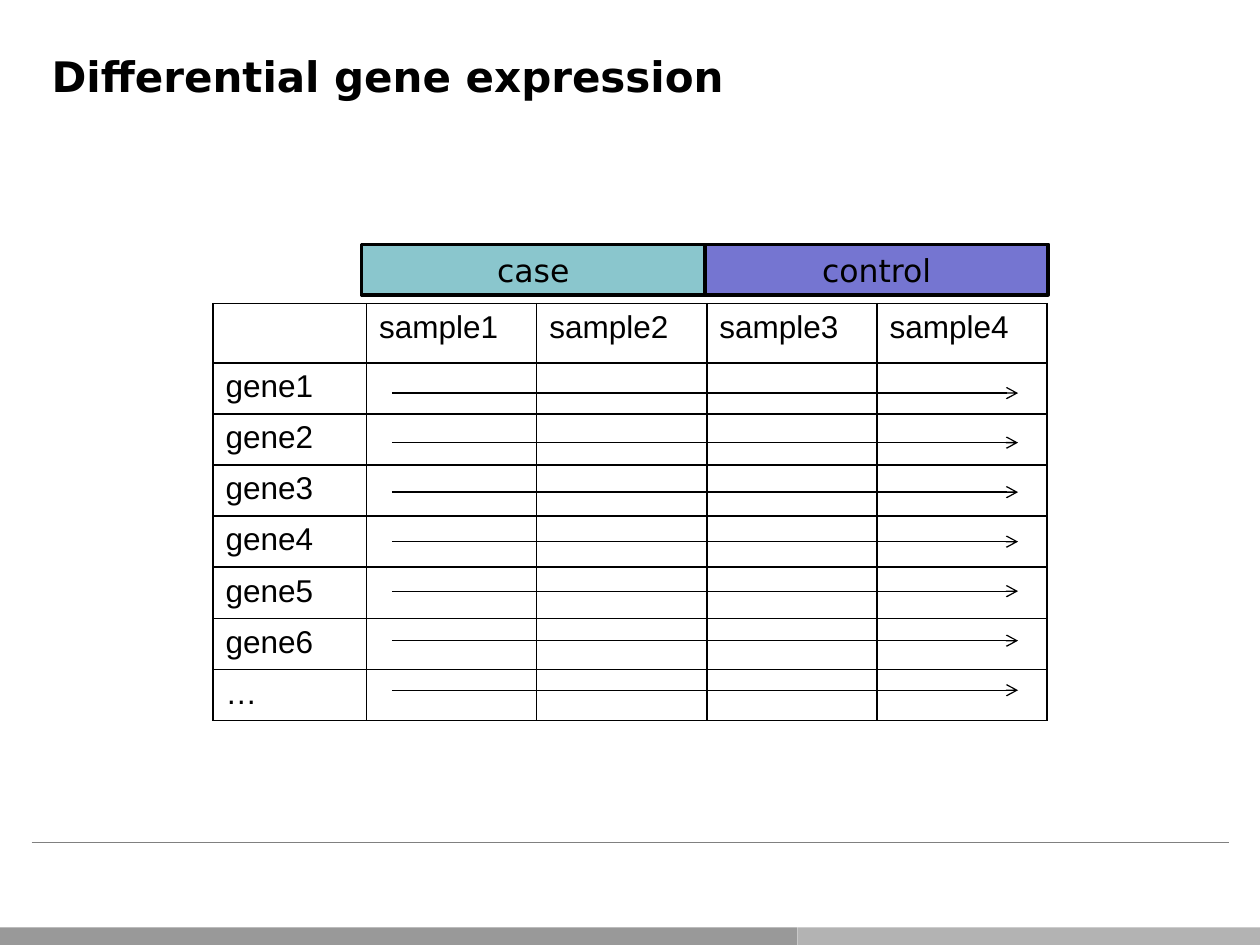
from lxml import etree
from pptx import Presentation
from pptx.dml.color import RGBColor
from pptx.enum import shapes, text
from pptx.oxml import ns
from pptx.util import Inches, Pt

GENES = ["gene1", "gene2", "gene3", "gene4", "gene5", "gene6", "…"]
SAMPLES = ["sample1", "sample2", "sample3", "sample4"]
GROUPS = [("case", "8AC6CD"), ("control", "7575D1")]
HEADER_HEIGHT, ROW_HEIGHT = 0.47, 0.39
GENE_WIDTH, SAMPLE_WIDTH = 1.22, 1.35


def color(value):
    """Turn a hex string into a colour."""
    return RGBColor.from_string(value)


def format_runs(frame, font_name, size, bold=False):
    """Format every run of a text frame in black."""
    for paragraph in frame.paragraphs:
        for run in paragraph.runs:
            run.font.name = font_name
            run.font.size = Pt(size)
            run.font.bold = bold
            run.font.color.rgb = color("000000")


def add_line(slide, left, right, y, line_color, width, arrow=False):
    """Draw a horizontal line, with an open arrowhead if asked."""
    line = slide.shapes.add_connector(
        shapes.MSO_CONNECTOR.STRAIGHT, Inches(left), Inches(y), Inches(right), Inches(y))
    line.line.color.rgb = color(line_color)
    line.line.width = Pt(width)
    if arrow:
        etree.SubElement(line.line._get_or_add_ln(), ns.qn("a:tailEnd"), type="arrow")
    etree.SubElement(line._element.spPr, ns.qn("a:effectLst"))


def add_rectangle(slide, left, top, width, height, fill):
    """Add a filled rectangle without outline or shadow."""
    rectangle = slide.shapes.add_shape(
        shapes.MSO_SHAPE.RECTANGLE, Inches(left), Inches(top), Inches(width), Inches(height))
    rectangle.shadow.inherit = False
    rectangle.fill.solid()
    rectangle.fill.fore_color.rgb = color(fill)
    rectangle.line.fill.background()
    return rectangle


def add_footer(slide, top, width, height):
    """Draw the two-tone footer band and the rule above it."""
    split = 6.33
    add_rectangle(slide, split, top, width - split, height, "B3B3B3")
    add_rectangle(slide, 0, top, split, height, "999999")
    add_line(slide, 0.25, width - 0.25, top - 0.67, "808080", 0.5)


def add_title(slide, left, top, width, height):
    """Place and format the title."""
    title = slide.shapes.title
    title.left, title.top = Inches(left), Inches(top)
    title.width, title.height = Inches(width), Inches(height)
    frame = title.text_frame
    frame.text = "Differential gene expression"
    frame.vertical_anchor = text.MSO_ANCHOR.TOP
    frame.paragraphs[0].alignment = text.PP_ALIGN.LEFT
    format_runs(frame, "DejaVu Sans", 24, bold=True)


def add_cell_borders(cell):
    """Give a cell thin black borders on all sides."""
    properties = cell._tc.get_or_add_tcPr()
    for position, side in enumerate(("lnL", "lnR", "lnT", "lnB")):
        border = etree.Element(ns.qn(f"a:{side}"), w=str(Pt(1)))
        fill = etree.SubElement(border, ns.qn("a:solidFill"))
        etree.SubElement(fill, ns.qn("a:srgbClr"), val="000000")
        properties.insert(position, border)


def add_expression_table(slide, left, top, width, height):
    """Add the gene by sample grid with an arrow across each gene row."""
    rows = [["", *SAMPLES]] + [[gene] + [""] * len(SAMPLES) for gene in GENES]
    table = slide.shapes.add_table(
        len(rows), len(rows[0]), Inches(left), Inches(top), Inches(width), Inches(height)).table
    table.first_row = table.horz_banding = False
    for index, column in enumerate(table.columns):
        column.width = Inches(SAMPLE_WIDTH if index else GENE_WIDTH)
    for index, row in enumerate(table.rows):
        row.height = Inches(ROW_HEIGHT if index else HEADER_HEIGHT)
        for cell, label in zip(row.cells, rows[index]):
            cell.text_frame.text = label
            format_runs(cell.text_frame, "Arial", 18)
            cell.fill.background()
            add_cell_borders(cell)
    for index in range(len(GENES)):
        y = top + HEADER_HEIGHT + 0.24 + index * 0.393
        add_line(slide, left + GENE_WIDTH + 0.2, left + width - 0.23, y, "000000", 0.75, arrow=True)


def add_group_headers(slide, left, top, width, height):
    """Add the sample group boxes side by side."""
    group_width = width / len(GROUPS)
    for index, (label, fill) in enumerate(GROUPS):
        group = add_rectangle(slide, left + index * group_width, top, group_width, height, fill)
        group.line.color.rgb = color("000000")
        group.line.width = Pt(2)
        frame = group.text_frame
        frame.text = label
        frame.paragraphs[0].alignment = text.PP_ALIGN.CENTER
        format_runs(frame, "DejaVu Sans", 18)


def main():
    """Build and save the slide."""
    deck = Presentation()
    deck.slide_width, deck.slide_height = Inches(10), Inches(7.5)
    slide = deck.slides.add_slide(deck.slide_layouts[5])
    add_footer(slide, 7.36, 10, 0.14)
    add_title(slide, 0.31, 0.35, 9.02, 0.98)
    add_expression_table(slide, 1.69, 2.41, GENE_WIDTH + len(SAMPLES) * SAMPLE_WIDTH,
                         HEADER_HEIGHT + len(GENES) * ROW_HEIGHT)
    add_group_headers(slide, 2.87, 1.94, 5.45, 0.4)
    deck.save("out.pptx")


if __name__ == "__main__":
    main()
